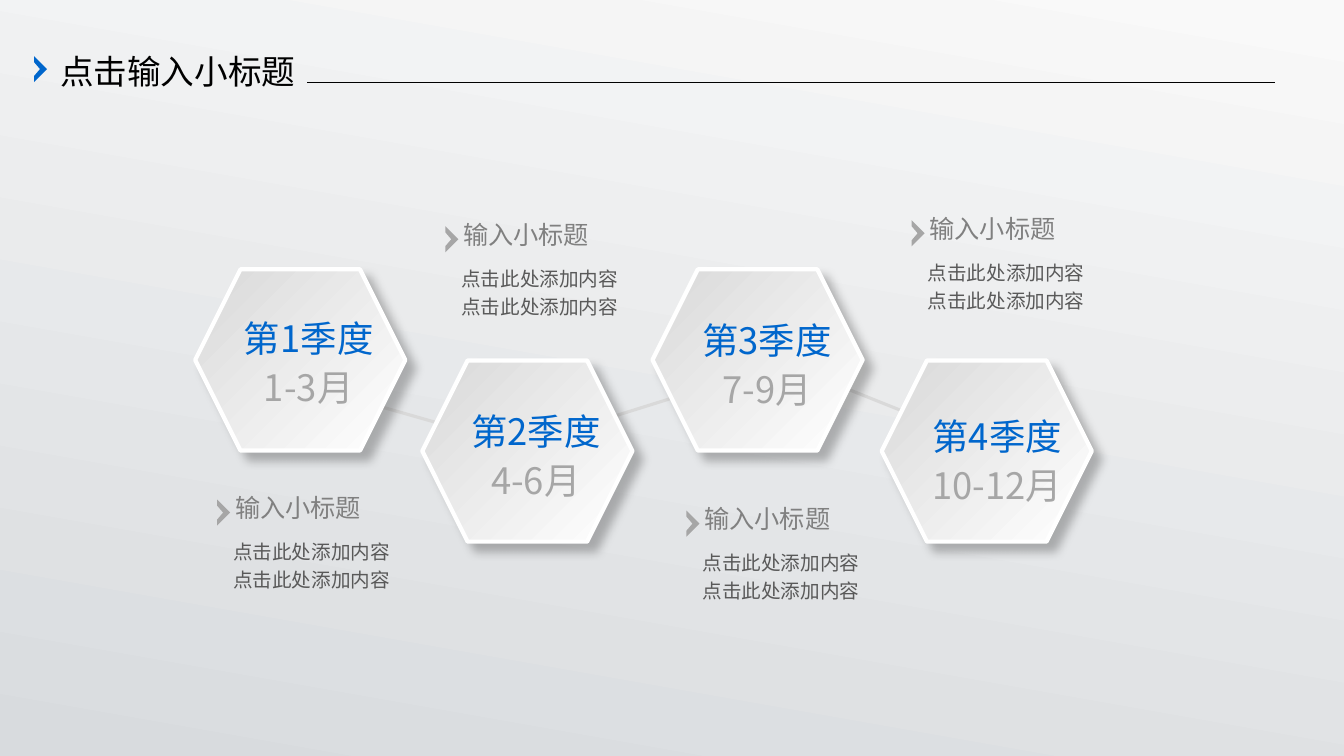
from lxml.etree import SubElement
from pptx import Presentation
from pptx.dml.color import RGBColor
from pptx.enum.shapes import MSO_CONNECTOR, MSO_SHAPE
from pptx.enum.text import MSO_ANCHOR, PP_ALIGN
from pptx.oxml import parse_xml
from pptx.oxml.ns import nsdecls, qn
from pptx.util import Emu, Pt

PX = 914400 / 100.7
FONT = "Noto Sans CJK SC"
BLUE, GREY = "0066CC", "A6A6A6"
CHEVRON = [(0, 0), (13, 13), (0, 26), (0, 20), (6, 13), (0, 6)]
SHADOW = (
    f'<a:effectLst {nsdecls("a")}>'
    f'<a:outerShdw blurRad="{Pt(7)}" dist="{Pt(8)}" dir="2700000" algn="tl" rotWithShape="0">'
    '<a:srgbClr val="000000"><a:alpha val="25000"/></a:srgbClr>'
    "</a:outerShdw></a:effectLst>"
)


def px(*lengths):
    return [Emu(round(n * PX)) for n in lengths]


def write(box, *lines, size, color, align=PP_ALIGN.LEFT, spacing=None):
    frame = box.text_frame
    frame.word_wrap = True
    frame.vertical_anchor = MSO_ANCHOR.TOP
    for i, line in enumerate(lines):
        paragraph = frame.add_paragraph() if i else frame.paragraphs[0]
        paragraph.alignment = align
        if spacing:
            paragraph.line_spacing = Pt(spacing)
        run = paragraph.add_run()
        run.text = line
        run.font.size = Pt(size)
        run.font.color.rgb = RGBColor.from_string(color)
        run.font.name = FONT
        SubElement(run.font._element, qn("a:ea"), typeface=FONT)


prs = Presentation()
prs.slide_width, prs.slide_height = px(1343, 755)
slide = prs.slides.add_slide(prs.slide_layouts[5])
shapes = slide.shapes

background = slide.background.fill
background.gradient()
background.gradient_angle = 80
for stop, color in zip(background.gradient_stops, ("D8DBDE", "F9F9F9")):
    stop.color.rgb = RGBColor.from_string(color)

# Heading
heading = shapes.title
heading.left, heading.top, heading.width, heading.height = px(50, 46, 273, 50)
write(heading, "点击输入小标题", size=24, color="000000")

# Heading rule, then the links between quarters
for x1, y1, x2, y2, color, weight in [
    (307, 82, 1274, 82, "000000", 0.75),
    (485, 436, 373, 404, "D9D9D9", 2.25),
    (699, 389, 600, 420, "D9D9D9", 2.25),
    (918, 417, 848, 389, "D9D9D9", 2.25),
]:
    link = shapes.add_connector(MSO_CONNECTOR.STRAIGHT, *px(x1, y1, x2, y2))
    link.line.color.rgb = RGBColor.from_string(color)
    link.line.width = Pt(weight)
    SubElement(link._element.spPr, qn("a:effectLst"))

# Notes, each placed from its chevron
notes = [(217, 499), (445, 226), (911, 220), (686, 510)]
for x, y in notes:
    write(shapes.add_textbox(*px(x + 8, y - 12, 154, 40)),
          "输入小标题", size=18, color="808080")
    write(shapes.add_textbox(*px(x + 6, y + 31, 185, 66)),
          "点击此处添加内容", "点击此处添加内容", size=14, color="595959", spacing=20)

for x, y, color in [(34, 56, BLUE)] + [(x, y, GREY) for x, y in notes]:
    outline = shapes.build_freeform(*CHEVRON[0], scale=PX)
    outline.add_line_segments(CHEVRON[1:], close=True)
    chevron = outline.convert_to_shape(*px(x, y))
    chevron.shadow.inherit = False
    chevron.fill.solid()
    chevron.fill.fore_color.rgb = RGBColor.from_string(color)
    chevron.line.fill.background()

# Quarters: hexagon corner, then the offset of its label
for number, (months, x, y, dx, dy) in enumerate([
    ("1-3月", 195, 269, 19, 42),
    ("4-6月", 422, 360, 19, 44),
    ("7-9月", 652, 269, 20, 44),
    ("10-12月", 881, 360, 21, 49),
], start=1):
    hexagon = shapes.add_shape(MSO_SHAPE.HEXAGON, *px(x, y, 210, 181))
    hexagon.fill.gradient()
    hexagon.fill.gradient_angle = 315
    for stop, color in zip(hexagon.fill.gradient_stops, ("D9D9D9", "FFFFFF")):
        stop.color.rgb = RGBColor.from_string(color)
    hexagon.line.color.rgb = RGBColor.from_string("FFFFFF")
    hexagon.line.width = Pt(3)
    hexagon._element.spPr.append(parse_xml(SHADOW))
    for label, top, color in [(f"第{number}季度", 0, BLUE), (months, 49, GREY)]:
        write(shapes.add_textbox(*px(x + dx, y + dy + top, 189, 54)),
              label, size=26, color=color, align=PP_ALIGN.CENTER)

prs.save("out.pptx")
